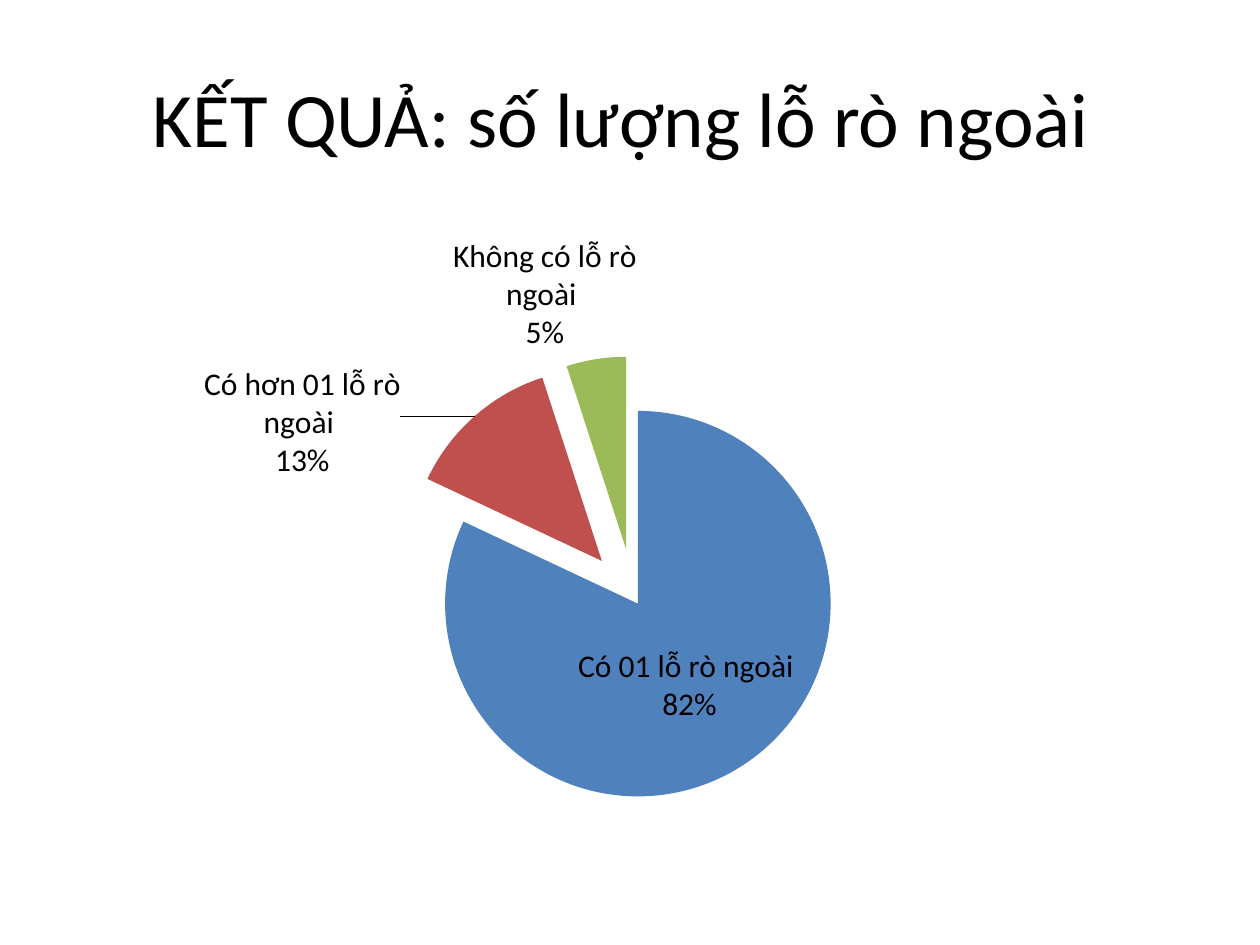
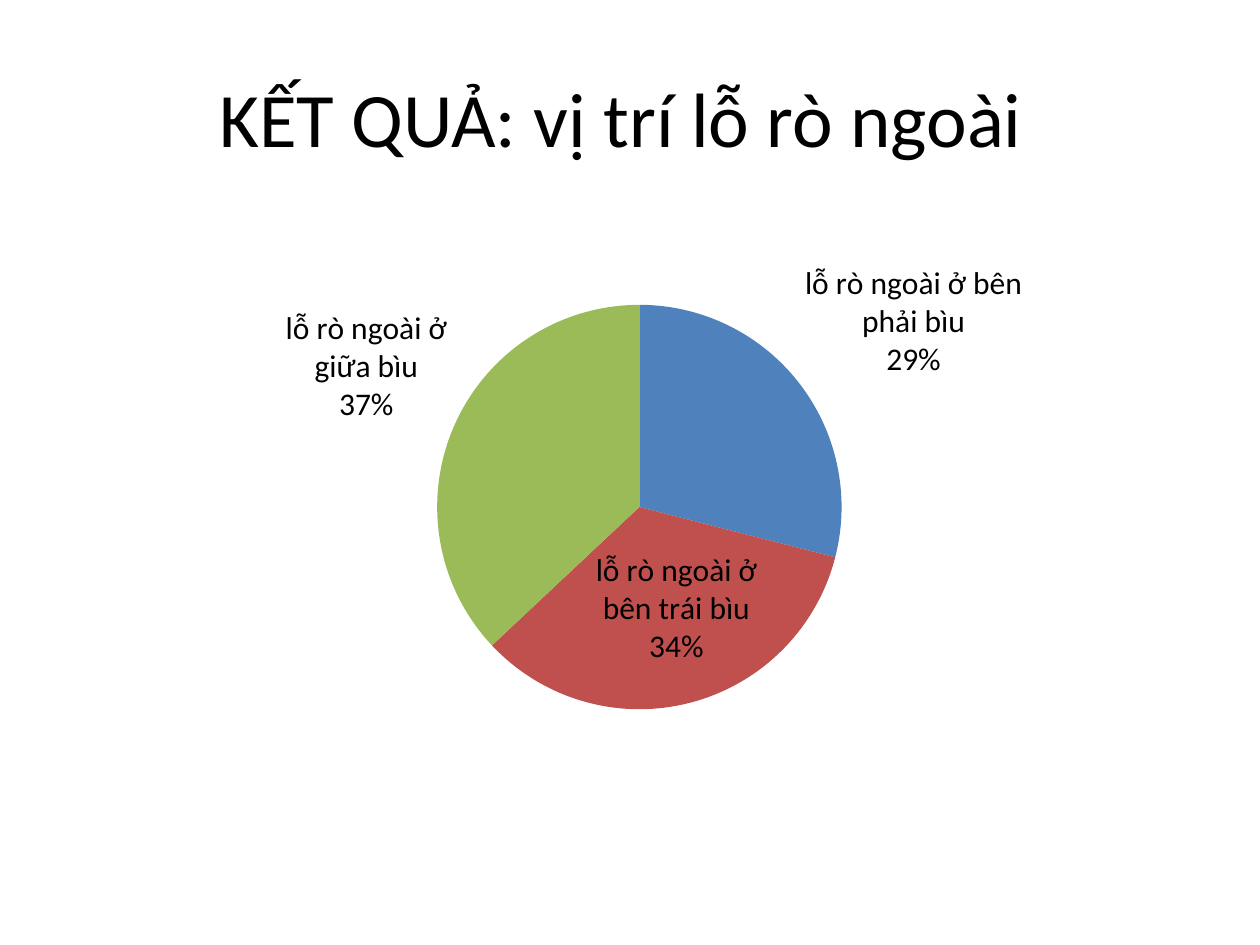
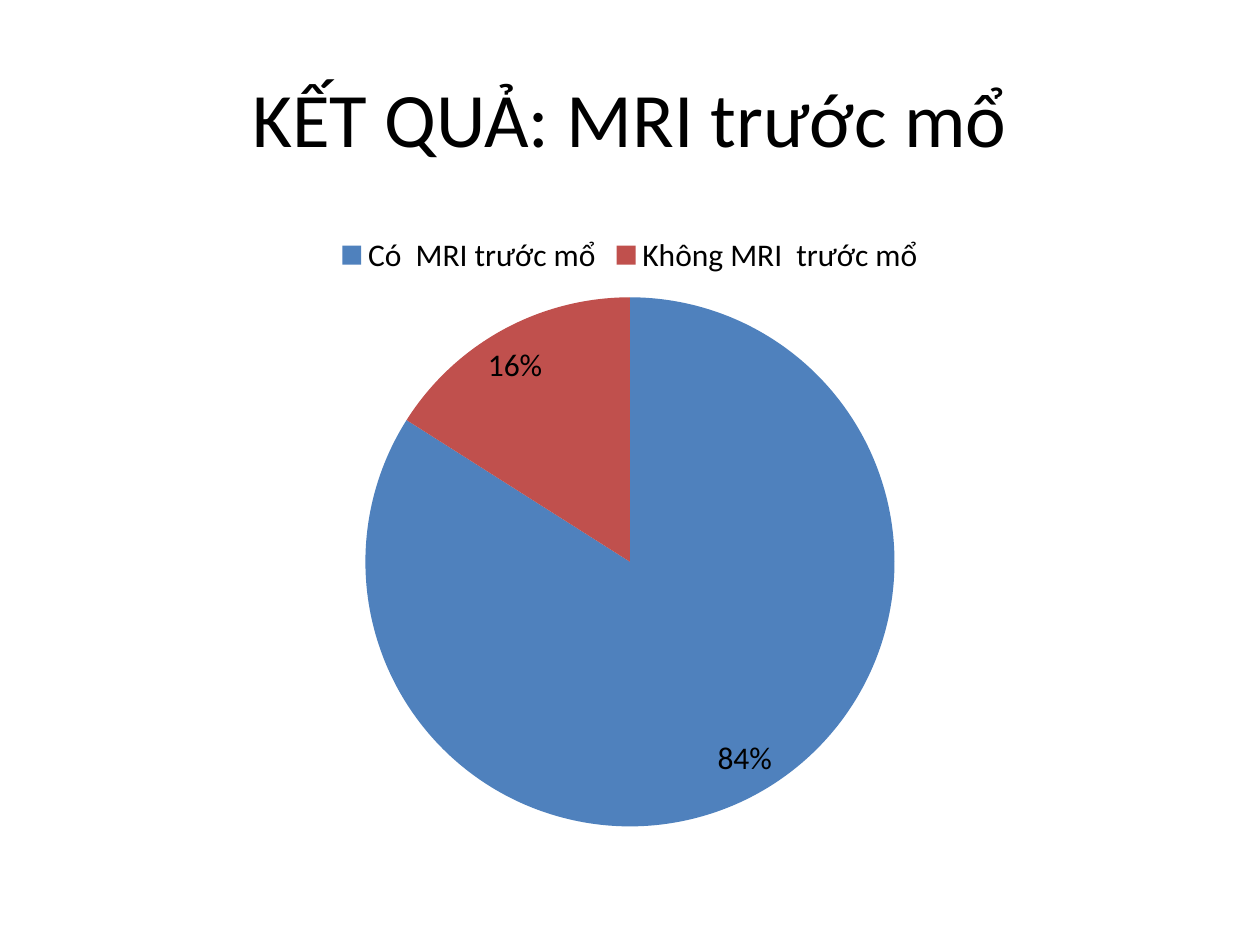
from dataclasses import dataclass

from lxml import etree
from pptx import Presentation
from pptx import util as u
from pptx.chart.chart import Chart
from pptx.chart.data import CategoryChartData
from pptx.dml.color import RGBColor
from pptx.enum import chart as charts
from pptx.enum import text
from pptx.oxml import parse_xml
from pptx.oxml.ns import nsdecls, qn
from pptx.slide import Slide

FONT = "Calibri"
LABEL_SIZE = u.Pt(18)
COLOURS = {"text": "000000", "blue": "4F81BD", "red": "C0504D", "green": "9BBB59"}
SLICE_COLOURS = ("blue", "red", "green")


@dataclass(frozen=True)
class Box:
    left: float
    top: float
    width: float
    height: float

    def lengths(self) -> tuple[u.Length, ...]:
        return tuple(u.Inches(n) for n in (self.left, self.top, self.width, self.height))


@dataclass(frozen=True)
class PieSlide:
    title: str
    frame: Box
    pie: Box  # on the slide, in inches
    values: dict[str, int]
    explosions: tuple[int, ...] = ()
    centred_slices: tuple[int, ...] = ()
    has_legend: bool = False


TITLE_BOX = Box(0.5, 0.3, 9, 1.25)

PIE_SLIDES = (
    PieSlide(
        title="KẾT QUẢ: số lượng lỗ rò ngoài ",
        frame=Box(0, 1.75, 10, 5.37),
        pie=Box(3.5, 3.21, 3.06, 3.06),
        values={
            "Có 01 lỗ rò ngoài ": 82,
            "Có hơn 01 lỗ rò ngoài ": 13,
            "Không có lỗ rò ngoài ": 5,
        },
        explosions=(4, 25, 25),
        centred_slices=(0,),
    ),
    PieSlide(
        title="KẾT QUẢ: vị trí lỗ rò ngoài ",
        frame=Box(0.5, 1.75, 8.85, 4.95),  # label wrapping follows the frame width
        pie=Box(3.47, 2.42, 3.21, 3.21),
        values={
            "lỗ rò ngoài ở bên phải bìu": 29,
            "lỗ rò ngoài ở bên trái bìu": 34,
            "lỗ rò ngoài ở giữa bìu": 37,
        },
    ),
    PieSlide(
        title="KẾT QUẢ: MRI trước mổ",
        frame=Box(0.5, 1.75, 9, 4.95),
        pie=Box(2.9, 2.36, 4.2, 4.2),
        values={"Có  MRI trước mổ": 84, "Không MRI  trước mổ": 16},
        has_legend=True,
    ),
)


def rgb(name: str) -> RGBColor:
    return RGBColor.from_string(COLOURS[name])


def set_font(font, size: u.Length) -> None:
    font.name = FONT
    font.size = size
    font.color.rgb = rgb("text")


def add_title(slide: Slide, title: str) -> None:
    text_frame = slide.shapes.add_textbox(*TITLE_BOX.lengths()).text_frame
    text_frame.word_wrap = True
    text_frame.vertical_anchor = text.MSO_ANCHOR.MIDDLE
    text_frame.text = title
    paragraph = text_frame.paragraphs[0]
    paragraph.alignment = text.PP_ALIGN.CENTER
    set_font(paragraph.runs[0].font, u.Pt(44))


def place_pie(chart: Chart, frame: Box, pie: Box) -> None:
    """Fix the plot area, given as fractions of the chart frame."""
    fractions = {
        "x": (pie.left - frame.left) / frame.width,
        "y": (pie.top - frame.top) / frame.height,
        "w": pie.width / frame.width,
        "h": pie.height / frame.height,
    }
    modes = '<c:layoutTarget val="inner"/><c:xMode val="edge"/><c:yMode val="edge"/>'
    sizes = "".join(f'<c:{key} val="{value:.4f}"/>' for key, value in fractions.items())
    plot_area = chart.element.find(f".//{qn('c:plotArea')}")
    for layout in plot_area.findall(qn("c:layout")):
        plot_area.remove(layout)
    plot_area.insert(0, parse_xml(
        f"<c:layout {nsdecls('c')}><c:manualLayout>{modes}{sizes}</c:manualLayout></c:layout>"))


def label_slices(series, pie_slide: PieSlide) -> None:
    labels = series.data_labels
    labels.show_value = False
    labels.show_percentage = True
    labels.show_category_name = not pie_slide.has_legend
    labels.number_format = "0%"
    labels.number_format_is_linked = False
    labels.position = charts.XL_LABEL_POSITION.BEST_FIT
    set_font(labels.font, LABEL_SIZE)

    for index in pie_slide.centred_slices:
        label = series.points[index].data_label
        set_font(label.font, LABEL_SIZE)
        label.position = charts.XL_LABEL_POSITION.CENTER
    for element in series._element.iter(qn("c:dLbl")):
        element.find(f".//{qn('a:bodyPr')}").set("wrap", "none")
        for tag, shown in (("showVal", "0"), ("showCatName", "1"), ("showPercent", "1")):
            element.find(qn(f"c:{tag}")).set("val", shown)

    for last_flag in list(series._element.iter(qn("c:showPercent"))):
        following = last_flag.getnext()
        if following is not None and following.tag == qn("c:showBubbleSize"):
            last_flag = following
        separator = etree.Element(qn("c:separator"))
        separator.text = "\n"
        last_flag.addnext(separator)


def explode_slices(series, explosions: tuple[int, ...]) -> None:
    for point, explosion in zip(series._element.findall(qn("c:dPt")), explosions):
        element = etree.Element(qn("c:explosion"), val=str(explosion))
        point.find(qn("c:spPr")).addprevious(element)


def add_pie(slide: Slide, pie_slide: PieSlide) -> None:
    data = CategoryChartData()
    data.categories = list(pie_slide.values)
    data.add_series("Series 1", list(pie_slide.values.values()))
    chart = slide.shapes.add_chart(
        charts.XL_CHART_TYPE.PIE, *pie_slide.frame.lengths(), data).chart
    chart.has_title = False
    set_font(chart.font, LABEL_SIZE)
    chart.has_legend = pie_slide.has_legend
    if pie_slide.has_legend:
        chart.legend.position = charts.XL_LEGEND_POSITION.TOP
        chart.legend.include_in_layout = False
        set_font(chart.legend.font, LABEL_SIZE)
    place_pie(chart, pie_slide.frame, pie_slide.pie)

    plot = chart.plots[0]
    plot.vary_by_categories = True
    series = plot.series[0]
    for index, colour in enumerate(SLICE_COLOURS[:len(pie_slide.values)]):
        fill = series.points[index].format.fill
        fill.solid()
        fill.fore_color.rgb = rgb(colour)
    explode_slices(series, pie_slide.explosions)
    label_slices(series, pie_slide)


def main() -> None:
    presentation = Presentation()
    presentation.slide_width = u.Inches(10)
    presentation.slide_height = u.Inches(7.5)
    blank_layout = presentation.slide_layouts[6]
    for pie_slide in PIE_SLIDES:
        slide = presentation.slides.add_slide(blank_layout)
        add_title(slide, pie_slide.title)
        add_pie(slide, pie_slide)
    presentation.save("out.pptx")


if __name__ == "__main__":
    main()
